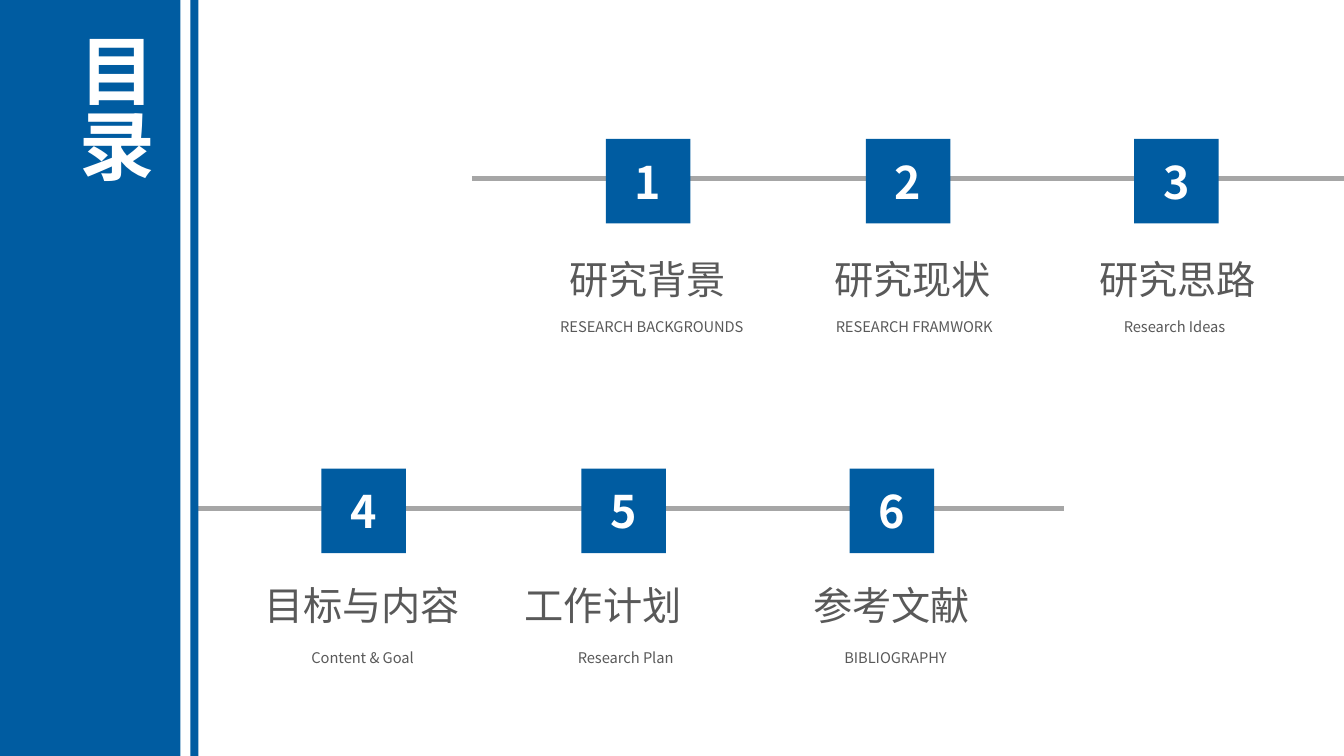
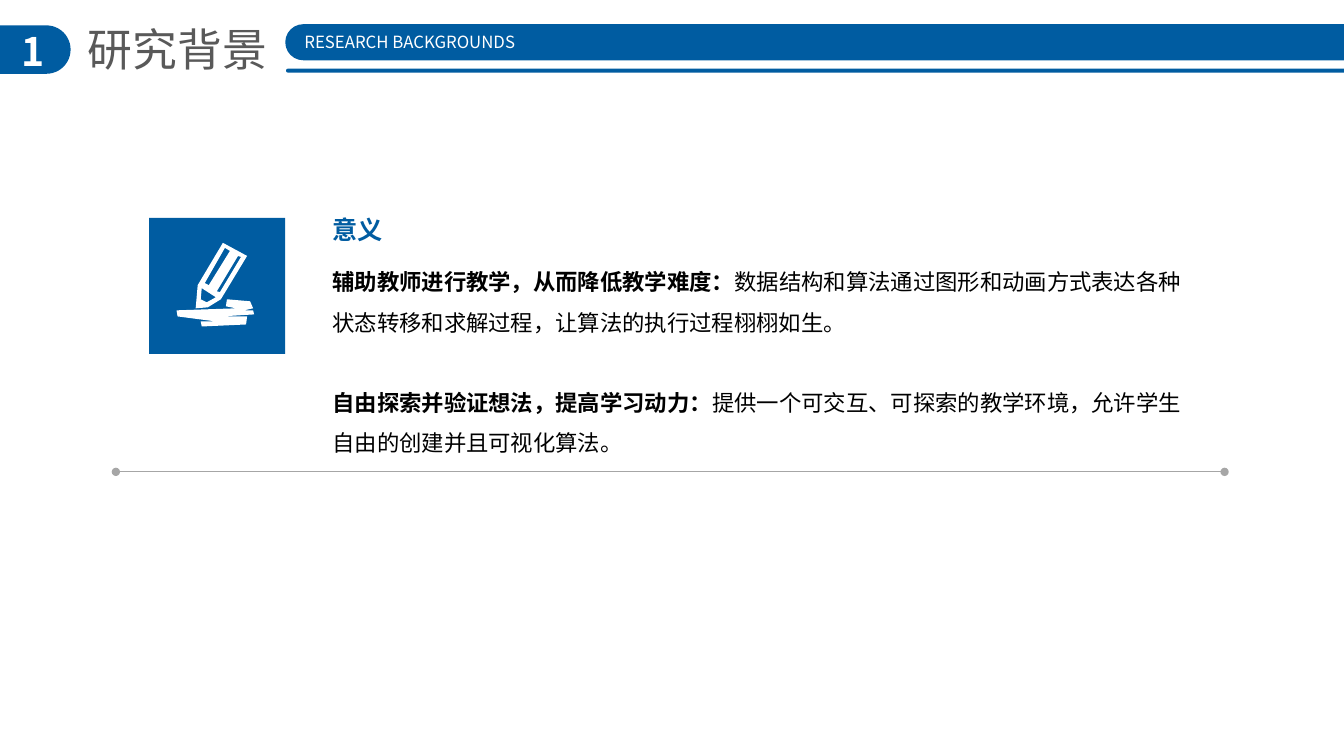
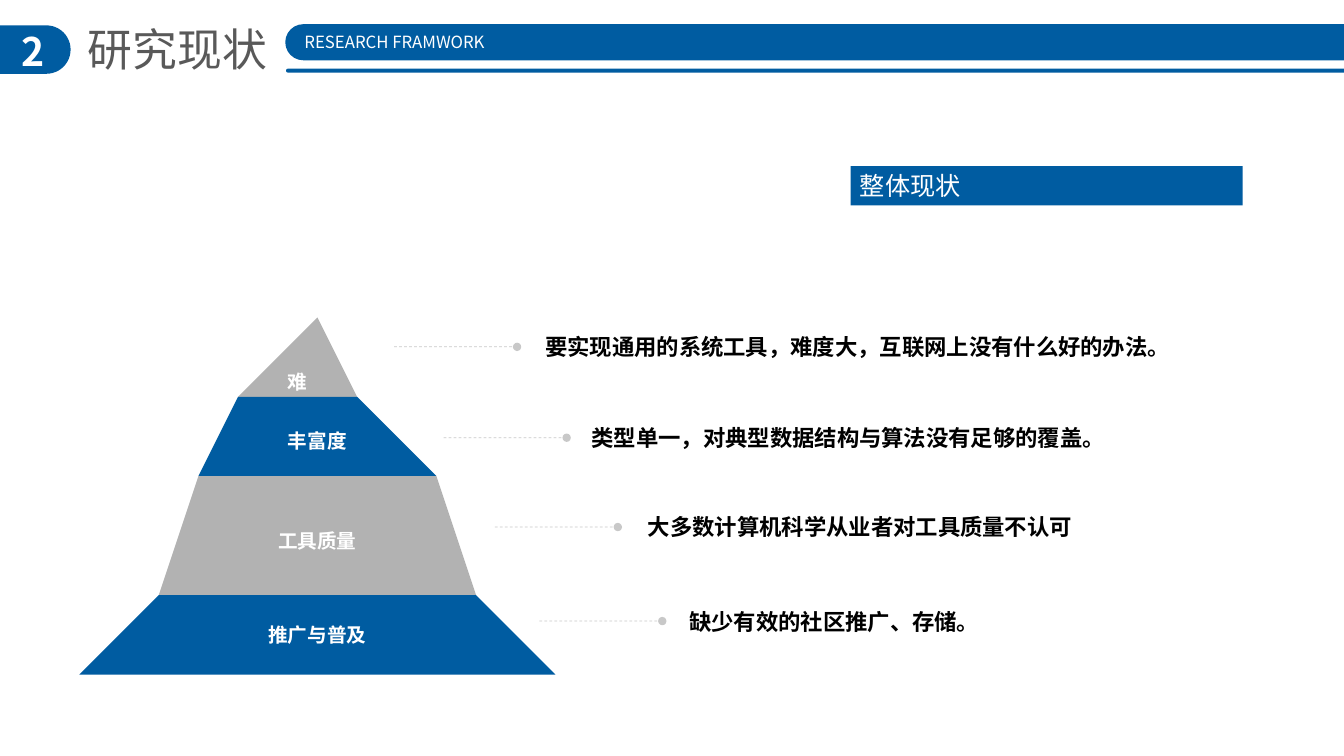
from lxml import etree
from pptx import Presentation
from pptx.dml.color import RGBColor
from pptx.enum.dml import MSO_LINE
from pptx.enum.shapes import MSO_CONNECTOR, MSO_SHAPE
from pptx.enum.text import MSO_ANCHOR, MSO_AUTO_SIZE, PP_ALIGN
from pptx.oxml.ns import qn
from pptx.util import Cm, Pt

FONT = "Noto Sans CJK SC"
BLUE, GRAY, PALE = "005CA1", "A6A6A6", "B2B2B2"
INK, BLACK, WHITE = "595959", "000000", "FFFFFF"
SLIDE_W, SLIDE_H = 33.87, 19.05

# All positions and sizes below are centimetres.
# Each topic: number, heading, heading centre, caption, caption centre
AGENDA_ROWS = [
    {"line": (11.89, SLIDE_W), "left": 15.27, "top": 3.5,
     "heading_top": 6.3, "caption_top": 7.87,
     "topics": [("1", "研究背景", 16.32, "RESEARCH BACKGROUNDS", 16.43),
                ("2", "研究现状", 23, "RESEARCH FRAMWORK", 23.04),
                ("3", "研究思路", 29.68, "Research Ideas", 29.6)]},
    {"line": (5, 26.82), "left": 8.1, "top": 11.81,
     "heading_top": 14.53, "caption_top": 16.23,
     "topics": [("4", "目标与内容", 9.13, "Content & Goal", 9.14),
                ("5", "工作计划", 15.2, "Research Plan", 15.77),
                ("6", "参考文献", 22.47, "BIBLIOGRAPHY", 22.57)]},
]
TILE_OFFSETS = (0, 6.55, 13.31)
TILE = 2.13

MEANING = [
    ("辅助教师进行教学，从而降低教学难度：",
     "数据结构和算法通过图形和动画方式表达各种状态转移和求解过程，让算法的执行过程栩栩如生。"),
    ("自由探索并验证想法，提高学习动力：",
     "提供一个可交互、可探索的教学环境，允许学生自由的创建并且可视化算法。"),
]

# Contours in hundredths of an inch from the icon's corner
PENCIL = [
    [(46, 0), (70, 13), (44, 56), (31, 64), (19, 65), (21, 42)],
    [(69, 81), (70, 73), (45, 73), (77, 71), (76, 67), (67, 67), (76, 65),
     (73, 58), (50, 56), (49, 63), (59, 65), (0, 67), (1, 73), (39, 78),
     (24, 78), (25, 83)],
    [(30, 59), (39, 54), (25, 45), (24, 56)],
    [(61, 13), (40, 48), (43, 49), (64, 14)],
    [(48, 5), (28, 40), (32, 42), (53, 8)],
]

APEX_X, APEX_Y, PYRAMID_H, HALF_BASE = 7.98, 7.62, 9.55, 5.54
# Each tier: label, bottom, colour, label drop below the tier's middle,
# callout text, callout line start, callout y, callout text left
TIERS = [
    ("难", 10.19, PALE, 0.63, "要实现通用的系统工具，难度大，互联网上没有什么好的办法。",
     9.93, 8.74, 13.49),
    ("丰富度", 12.38, BLUE, 0.1, "类型单一，对典型数据结构与算法没有足够的覆盖。",
     11.18, 11.03, 14.66),
    ("工具质量", 14.58, PALE, 0.13, "大多数计算机科学从业者对工具质量不认可",
     12.47, 13.28, 16.08),
    ("推广与普及", 17.17, BLUE, 0, "缺少有效的社区推广、存储。",
     13.59, 15.65, 17.12),
]
CALLOUT_LINE = 3.1


def rgb(value):
    return RGBColor.from_string(value)


def format_run(run, size, color, bold=False):
    run.font.name = FONT
    run.font.size = Pt(size)
    run.font.bold = bold
    run.font.color.rgb = rgb(color)
    latin = run.font._element.find(qn("a:latin"))
    latin.addnext(latin.makeelement(qn("a:ea"), {"typeface": FONT}))


def write(shape, text, size, color, bold=False, align=PP_ALIGN.LEFT,
          anchor=MSO_ANCHOR.TOP, margins=(0.25, 0.13, 0.25, 0.13)):
    """Put one formatted line in a shape; margins are left, top, right, bottom."""
    frame = shape.text_frame
    frame.text = text
    frame.word_wrap = True
    frame.auto_size = MSO_AUTO_SIZE.NONE
    frame.vertical_anchor = anchor
    (frame.margin_left, frame.margin_top,
     frame.margin_right, frame.margin_bottom) = map(Cm, margins)
    paragraph = frame.paragraphs[0]
    paragraph.alignment = align
    format_run(paragraph.runs[0], size, color, bold)


def add_text(slide, box, text, size, color, **options):
    label = slide.shapes.add_textbox(*map(Cm, box))
    write(label, text, size, color, **options)


def paint(shape, color):
    shape.shadow.inherit = False
    shape.fill.solid()
    shape.fill.fore_color.rgb = rgb(color)
    shape.line.fill.background()


def add_block(slide, box, rounded=False):
    kind = MSO_SHAPE.ROUNDED_RECTANGLE if rounded else MSO_SHAPE.RECTANGLE
    block = slide.shapes.add_shape(kind, *map(Cm, box))
    if rounded:
        block.adjustments[0] = 0.5
    paint(block, BLUE)
    return block


def add_outline(slide, contours, color, scale, left=0, top=0):
    builder = slide.shapes.build_freeform(*contours[0][0], scale=scale)
    for index, contour in enumerate(contours):
        if index:
            builder.move_to(*contour[0])
        builder.add_line_segments(contour[1:], close=True)
    outline = builder.convert_to_shape(Cm(left), Cm(top))
    paint(outline, color)
    return outline


def add_level_line(slide, start, end, y, color, width, ends=(), dashed=False):
    """Draw a horizontal line; ends lists the ends that carry a dot."""
    line = slide.shapes.add_connector(
        MSO_CONNECTOR.STRAIGHT, Cm(start), Cm(y), Cm(end), Cm(y))
    line.line.color.rgb = rgb(color)
    line.line.width = Pt(width)
    properties = line.element.spPr
    stroke = properties.find(qn("a:ln"))
    if dashed:
        line.line.dash_style = MSO_LINE.DASH
        tint = stroke.find(".//" + qn("a:srgbClr"))
        etree.SubElement(tint, qn("a:alpha"), val="70000")
    for end_name in ends:
        etree.SubElement(stroke, qn(end_name), type="oval")
    etree.SubElement(properties, qn("a:effectLst"))


def place_title(slide, box, text, size, color, **options):
    title = slide.shapes.title
    title.left, title.top, title.width, title.height = map(Cm, box)
    write(title, text, size, color, **options)
    return title


def add_section_slide(deck, number, title, caption):
    slide = deck.slides.add_slide(deck.slide_layouts[5])
    place_title(slide, (1.96, 0.41, 5.2, 1.63), title, 32, INK)
    badge = add_block(slide, (-0.71, 0.64, 2.49, 1.22), rounded=True)
    write(badge, number, 28, WHITE, bold=True, align=PP_ALIGN.CENTER,
          anchor=MSO_ANCHOR.MIDDLE, margins=(0.58, 0.08, 0, 0))
    bar = add_block(slide, (7.19, 0.61, 28.02, 0.91), rounded=True)
    write(bar, caption, 12, WHITE, anchor=MSO_ANCHOR.MIDDLE,
          margins=(0.35, 0, 0, 0))
    add_block(slide, (7.21, 1.73, 28.02, 0.1), rounded=True)
    return slide


def build_agenda(deck):
    slide = deck.slides.add_slide(deck.slide_layouts[5])
    for row in AGENDA_ROWS:
        add_level_line(slide, *row["line"], row["top"] + 1, GRAY, 4)
        for offset, topic in zip(TILE_OFFSETS, row["topics"]):
            number, heading, heading_x, caption, caption_x = topic
            tile = add_block(slide, (row["left"] + offset, row["top"], TILE, TILE))
            write(tile, number, 32, WHITE, bold=True, align=PP_ALIGN.CENTER,
                  anchor=MSO_ANCHOR.MIDDLE, margins=(0, 0, 0, 0))
            add_text(slide, (heading_x - 3, row["heading_top"], 6, 1.45),
                     heading, 28, INK, align=PP_ALIGN.CENTER)
            add_text(slide, (caption_x - 3, row["caption_top"], 6, 0.71),
                     caption, 10.5, INK, align=PP_ALIGN.CENTER)
    add_block(slide, (0, 0, 4.55, SLIDE_H))
    add_block(slide, (4.8, 0, 0.2, SLIDE_H))
    title = place_title(slide, (1.47, 0.69, 2.82, 4.88), "目录", 54, WHITE,
                        bold=True, align=PP_ALIGN.JUSTIFY)
    title.element.txBody.find(qn("a:bodyPr")).set("vert", "eaVert")
    slide.shapes.element.append(title.element)  # bring in front of the band


def build_background(deck):
    slide = add_section_slide(deck, "1", "研究背景", "RESEARCH BACKGROUNDS")
    add_text(slide, (8.13, 5.28, 3, 1.02), "意义", 18, BLUE, bold=True)
    body = slide.shapes.add_textbox(*map(Cm, (8.13, 6.3, 21.97, 5.26)))
    frame = body.text_frame
    frame.word_wrap = True
    for index, (claim, detail) in enumerate(MEANING):
        paragraph = frame.add_paragraph() if index else frame.paragraphs[0]
        paragraph.line_spacing = 1.5
        paragraph.space_before = Pt(28.8 * index)
        for text, bold in ((claim, True), (detail, False)):
            run = paragraph.add_run()
            run.text = text
            format_run(run, 16, BLACK, bold)
    add_level_line(slide, 2.92, 30.86, 11.89, GRAY, 0.5,
                   ends=("a:headEnd", "a:tailEnd"))
    add_block(slide, (3.76, 5.49, 3.43, 3.43))
    add_outline(slide, PENCIL, WHITE, Cm(2.54) / 100, 4.45, 6.12)


def build_status(deck):
    slide = add_section_slide(deck, "2", "研究现状", "RESEARCH FRAMWORK")
    top = APEX_Y
    for label, bottom, color, drop, remark, start, y, remark_left in TIERS:
        upper, lower = ((edge - APEX_Y) * HALF_BASE / PYRAMID_H
                        for edge in (top, bottom))
        corners = [(APEX_X - upper, top), (APEX_X + upper, top),
                   (APEX_X + lower, bottom), (APEX_X - lower, bottom)]
        tier = add_outline(slide, [corners], color, Cm(1))
        write(tier, label, 14, WHITE, bold=True, align=PP_ALIGN.CENTER,
              anchor=MSO_ANCHOR.MIDDLE, margins=(0, 2 * drop, 0, 0))
        add_level_line(slide, start, start + CALLOUT_LINE, y, PALE, 0.5,
                       ends=("a:tailEnd",), dashed=True)
        add_text(slide, (remark_left, y - 0.47, 16.7, 0.94), remark, 16, BLACK,
                 bold=True, anchor=MSO_ANCHOR.MIDDLE)
        top = bottom
    banner = add_block(slide, (21.44, 4.19, 9.88, 0.99))
    write(banner, "整体现状", 18, WHITE, anchor=MSO_ANCHOR.MIDDLE,
          margins=(0.23, 0, 0, 0))


def main():
    deck = Presentation()
    deck.slide_width, deck.slide_height = Cm(SLIDE_W), Cm(SLIDE_H)
    build_agenda(deck)
    build_background(deck)
    build_status(deck)
    deck.save("out.pptx")


if __name__ == "__main__":
    main()
